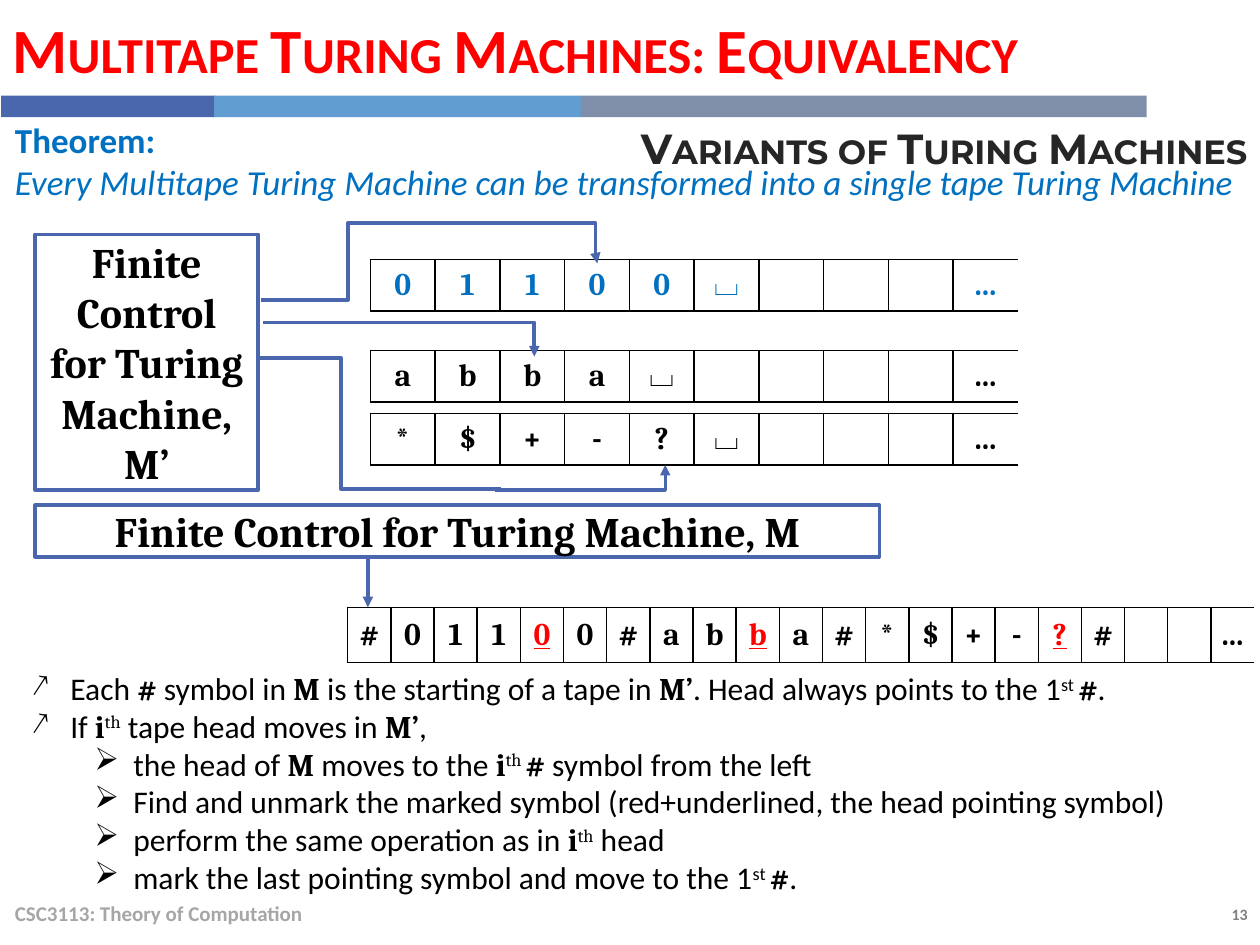
from dataclasses import dataclass
from typing import NamedTuple

from lxml import etree
from pptx import Presentation
from pptx.dml.color import RGBColor
from pptx.enum.shapes import MSO_CONNECTOR, MSO_SHAPE
from pptx.enum.text import MSO_ANCHOR, MSO_AUTO_SIZE, PP_ALIGN
from pptx.oxml.ns import qn
from pptx.util import Inches, Pt

LEFT, MID, RIGHT, JUST = PP_ALIGN.LEFT, PP_ALIGN.CENTER, PP_ALIGN.RIGHT, PP_ALIGN.JUSTIFY
TOP, CENTER = MSO_ANCHOR.TOP, MSO_ANCHOR.MIDDLE
FIXED, GROW = MSO_AUTO_SIZE.NONE, MSO_AUTO_SIZE.SHAPE_TO_FIT_TEXT
RECT = MSO_SHAPE.RECTANGLE
STRAIGHT, ELBOW = MSO_CONNECTOR.STRAIGHT, MSO_CONNECTOR.ELBOW


@dataclass(frozen=True)
class Theme:
    sans: str = "Calibri"
    serif: str = "Cambria"
    brand: str = "Montserrat"
    black: str = "000000"
    red: str = "FF0000"
    blue: str = "0070C0"
    line: str = "4A66AC"
    sky: str = "629DD1"
    slate: str = "7F8FA9"
    dark: str = "262626"
    gray: str = "808080"
    pale: str = "A6A6A6"
    title: int = 36
    head: int = 24
    lead: int = 20
    body: int = 18
    foot: int = 12
    page: int = 9


THEME = Theme()


class Style(NamedTuple):
    size: int
    color: str
    face: str = THEME.sans
    bold: bool = False
    slant: bool = False
    under: bool = False
    caps: bool = False
    raised: bool = False


class Box(NamedTuple):
    left: float
    top: float
    width: float
    height: float

    def emu(self) -> list:
        return [Inches(side) for side in self]


class Tape(NamedTuple):
    box: Box
    cells: str
    color: str = THEME.black
    marked: tuple = ()


class Link(NamedTuple):
    start: tuple
    end: tuple
    bend: float | None = None
    arrow: bool = True


class Note(NamedTuple):
    level: int
    words: list
    align: PP_ALIGN = LEFT


def add_run(para, text: str, style: Style) -> None:
    run = para.add_run()
    run.text = text
    font = run.font
    font.name, font.size = style.face, Pt(style.size)
    font.bold, font.italic, font.underline = style.bold, style.slant, style.under
    font.color.rgb = RGBColor.from_string(style.color)
    props = run._r.get_or_add_rPr()
    if style.caps:
        props.set("cap", "small")
    if style.raised:
        props.set("baseline", "30000")


def set_frame(shape, anchor=TOP, fit=FIXED):
    frame = shape.text_frame
    frame.word_wrap, frame.vertical_anchor, frame.auto_size = True, anchor, fit
    return frame


def add_text(slide, box: Box, lines: list, align=LEFT, anchor=TOP, fit=FIXED) -> None:
    frame = set_frame(slide.shapes.add_textbox(*box.emu()), anchor, fit)
    for row, (text, style) in enumerate(lines):
        para = frame.add_paragraph() if row else frame.paragraphs[0]
        para.alignment = align
        add_run(para, text, style)


def add_rect(slide, box: Box, fill: str = "", text: str = "") -> None:
    shape = slide.shapes.add_shape(RECT, *box.emu())
    shape.shadow.inherit = False
    if fill:
        shape.fill.solid()
        shape.fill.fore_color.rgb = RGBColor.from_string(fill)
        shape.line.fill.background()
    else:
        shape.fill.background()
        shape.line.color.rgb = RGBColor.from_string(THEME.line)
        shape.line.width = Pt(2)
    if text:
        para = set_frame(shape, CENTER).paragraphs[0]
        para.alignment = MID
        add_run(para, text, Style(THEME.head, THEME.black, THEME.serif, True))


def set_edge(cell, side: str, shown: bool) -> None:
    edge = etree.SubElement(cell._tc.get_or_add_tcPr(), qn(f"a:ln{side}"), w=str(Pt(1)))
    if shown:
        fill = etree.SubElement(edge, qn("a:solidFill"))
        etree.SubElement(fill, qn("a:srgbClr"), val=THEME.black)
    else:
        etree.SubElement(edge, qn("a:noFill"))


def add_tape(slide, tape: Tape) -> None:
    count = len(tape.cells)
    table = slide.shapes.add_table(1, count, *tape.box.emu()).table
    table.first_row = table.horz_banding = False
    for col, mark in enumerate(tape.cells):
        table.columns[col].width = Inches(tape.box.width / count)
        cell = table.cell(0, col)
        cell.margin_left = cell.margin_right = cell.margin_top = cell.margin_bottom = 0
        cell.vertical_anchor = CENTER
        for side in "LRTB":
            set_edge(cell, side, side != "R" or col < count - 1)
        cell.fill.background()
        para = cell.text_frame.paragraphs[0]
        para.alignment = MID
        if mark != " ":
            hit = col in tape.marked
            color = THEME.red if hit else tape.color
            add_run(para, mark, Style(THEME.body, color, THEME.serif, True, under=hit))


def add_link(slide, link: Link) -> None:
    kind = STRAIGHT if link.bend is None else ELBOW
    ends = [Inches(side) for side in (*link.start, *link.end)]
    wire = slide.shapes.add_connector(kind, *ends)
    wire.line.color.rgb = RGBColor.from_string(THEME.line)
    wire.line.width = Pt(2)
    props = wire._element.spPr
    if link.bend is not None:
        guides = props.find(qn("a:prstGeom")).get_or_add_avLst()
        etree.SubElement(guides, qn("a:gd"), name="adj1", fmla=f"val {round(link.bend * 100000)}")
    if link.arrow:
        etree.SubElement(props.find(qn("a:ln")), qn("a:tailEnd"), type="triangle")
    etree.SubElement(props, qn("a:effectLst"))


def add_notes(slide, box: Box, notes: list) -> None:
    plain = Style(THEME.body, THEME.black)
    strong = plain._replace(face=THEME.serif, bold=True)
    looks = {"p": plain, "b": strong, "s": plain._replace(raised=True),
             "t": strong._replace(bold=False, raised=True)}
    frame = set_frame(slide.shapes.add_textbox(*box.emu()), fit=GROW)
    for row, note in enumerate(notes):
        para = frame.add_paragraph() if row else frame.paragraphs[0]
        para.level, para.alignment = note.level, note.align
        props = para._p.get_or_add_pPr()
        props.set("marL", str(Inches(0.31 + 0.5 * note.level)))
        props.set("indent", str(-Inches(0.31)))
        etree.SubElement(props, qn("a:buChar"), char="↗➢"[note.level])
        for look, text in note.words:
            add_run(para, text, looks[look])


BARS = [(0.01, 1.7, THEME.line), (1.7, 2.91, THEME.sky), (4.61, 4.49, THEME.slate)]
TAPES = [
    Tape(Box(2.94, 2.06, 5.14, 0.41), "01100⌴   …", THEME.blue),
    Tape(Box(2.94, 2.78, 5.14, 0.41), "abba⌴    …"),
    Tape(Box(2.94, 3.28, 5.14, 0.41), "*$+-?⌴   …"),
    Tape(Box(2.76, 4.82, 7.2, 0.44), "#01100#abba#*$+-?#  …", marked=(4, 9, 16)),
]
LINKS = [
    Link((2.09, 2.56), (4.24, 2.83), 1),
    Link((2.07, 2.38), (3.45, 1.77), 0.5, False),
    Link((3.45, 1.77), (4.74, 2.09), 0.99),
    Link((2.05, 2.84), (3.98, 3.88), 0.34, False),
    Link((3.93, 3.89), (5.28, 3.69), 1),
    Link((2.92, 4.43), (2.92, 4.82)),
]
FIRST = [("s", "st "), ("b", "#"), ("p", ".")]
NOTES = [
    Note(0, [("p", "Each "), ("b", "#"), ("p", " symbol in "), ("b", "M"),
             ("p", " is the starting of a tape in "), ("b", "M’"),
             ("p", ". Head always points to the 1"), *FIRST], JUST),
    Note(0, [("p", "If "), ("b", "i"), ("t", "th"), ("p", " tape head moves in "),
             ("b", "M’"), ("p", ",")]),
    Note(1, [("p", "the head of "), ("b", "M"), ("p", " moves to the "), ("b", "i"),
             ("t", "th "), ("b", "#"), ("p", " symbol from the left")]),
    Note(1, [("p", "Find and unmark the marked symbol (red+underlined, the head pointing symbol)")]),
    Note(1, [("p", "perform the same operation as in "), ("b", "i"), ("t", "th"), ("p", " head")]),
    Note(1, [("p", "mark the last pointing symbol and move to the 1"), *FIRST]),
]


def main() -> None:
    deck = Presentation()
    deck.slide_width, deck.slide_height = Inches(10), Inches(7.5)
    slide = deck.slides.add_slide(deck.slide_layouts[5])
    title = slide.shapes.title
    title.left, title.top, title.width, title.height = Box(0, 0, 9.1, 0.76).emu()
    para = set_frame(title, CENTER).paragraphs[0]
    para.alignment = LEFT
    add_run(para, "Multitape Turing Machines: Equivalency",
            Style(THEME.title, THEME.red, bold=True, caps=True))
    for left, width, color in BARS:
        add_rect(slide, Box(left, 0.76, width, 0.17), color)
    add_text(slide, Box(8.73, 7.13, 1.27, 0.25),
             [("13", Style(THEME.page, THEME.gray, bold=True))], RIGHT, fit=GROW)
    add_text(slide, Box(0.02, 7.05, 6.7, 0.4),
             [("CSC3113: Theory of Computation", Style(THEME.foot, THEME.pale, bold=True))], anchor=CENTER)
    add_text(slide, Box(1.7, 0.93, 8.3, 0.48),
             [("Variants of Turing Machines", Style(THEME.head, THEME.dark, THEME.brand, True, caps=True))],
             RIGHT, CENTER)
    add_rect(slide, Box(0.28, 1.86, 1.77, 2.03), text="Finite Control for Turing Machine, M’")
    add_rect(slide, Box(0.28, 4.01, 6.7, 0.41), text="Finite Control for Turing Machine, M")
    for tape in TAPES:
        add_tape(slide, tape)
    for link in LINKS:
        add_link(slide, link)
    lead = Style(THEME.lead, THEME.blue)
    add_text(slide, Box(0.02, 0.89, 9.98, 0.77), [
        ("Theorem:", lead._replace(bold=True)),
        ("Every Multitape Turing Machine can be transformed into a single tape Turing Machine",
         lead._replace(slant=True))], fit=GROW)
    add_notes(slide, Box(0.15, 5.26, 9.81, 1.92), NOTES)
    deck.save("out.pptx")


if __name__ == "__main__":
    main()
